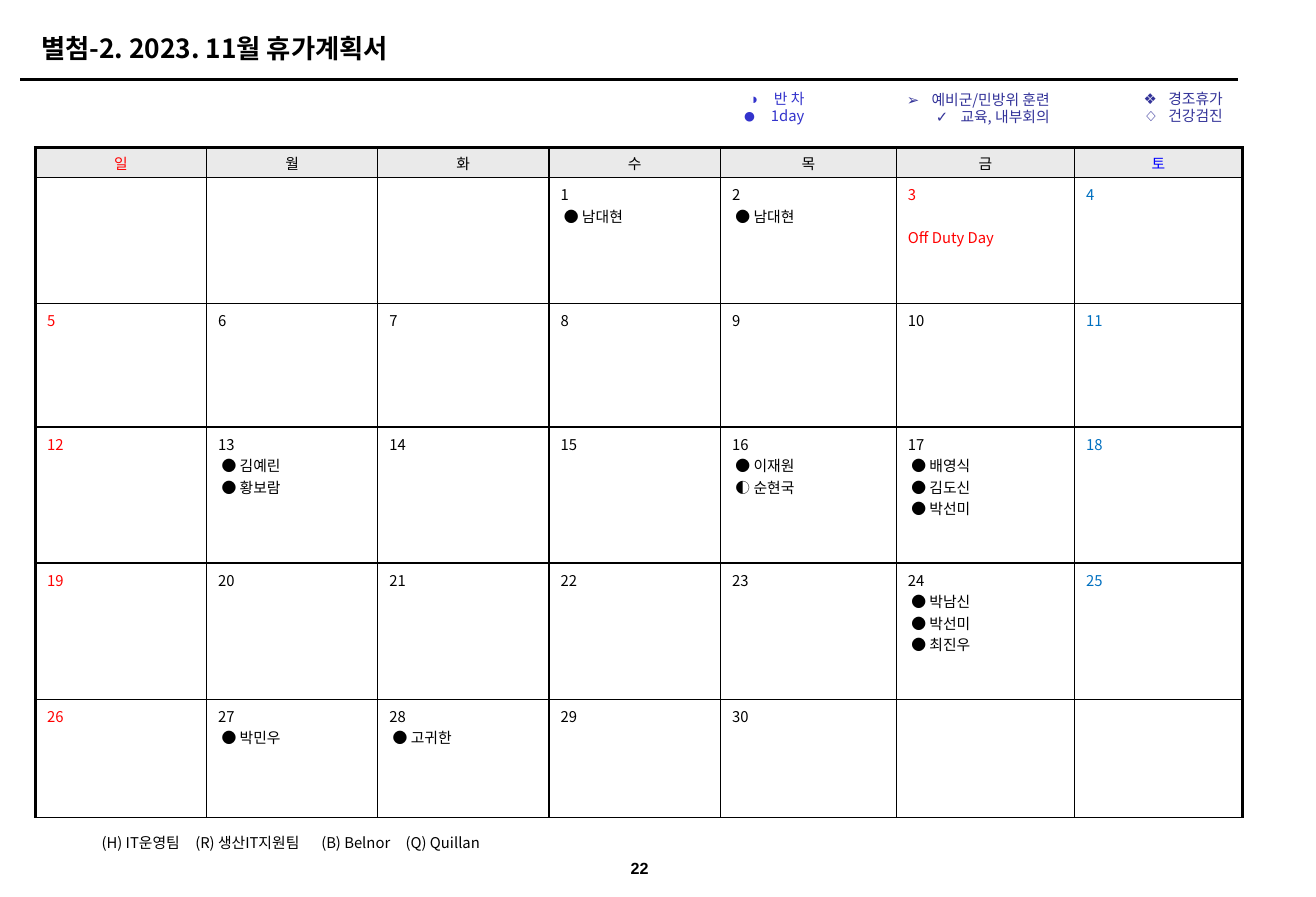
from dataclasses import dataclass

from lxml import etree
from pptx import Presentation
from pptx.dml.color import RGBColor
from pptx.enum.shapes import MSO_CONNECTOR
from pptx.enum.text import MSO_ANCHOR, PP_ALIGN
from pptx.oxml.ns import qn
from pptx.util import Cm, Pt

LEFT, CENTER, RIGHT = PP_ALIGN.LEFT, PP_ALIGN.CENTER, PP_ALIGN.RIGHT
TOP, MIDDLE = MSO_ANCHOR.TOP, MSO_ANCHOR.MIDDLE
STRAIGHT = MSO_CONNECTOR.STRAIGHT

# Content
TITLE = "별첨-2. 2023. 11월 휴가계획서"
PAGE_NUMBER = "22"
TEAMS = ["(H) IT운영팀", "(R) 생산IT지원팀", "(B) Belnor", "(Q) Quillan"]
TEAM_TABS = [2.01, 4.71, 6.52]
WEEKDAYS = ["일", "월", "화", "수", "목", "금", "토"]
FIRST_WEEKDAY, LAST_DAY = 3, 30
OFF_DAYS = {3: "Off Duty Day"}
LEAVE = {
    1: ["● 남대현"],
    2: ["● 남대현"],
    13: ["● 김예린", "● 황보람"],
    16: ["● 이재원", "◐ 순현국"],
    17: ["● 배영식", "● 김도신", "● 박선미"],
    24: ["● 박남신", "● 박선미", "● 최진우"],
    27: ["● 박민우"],
    28: ["● 고귀한"],
}
# Place (left, top, width, height), colour, wrap, items (bullet, bullet percent, text)
LEGENDS = [
    ((15.67, 1.83, 1.83, 1.02), "3333CC", False,
     [("◑", 100, "반 차"), ("●", 150, " 1day")]),
    ((18.82, 1.85, 4.01, 0.99), "333399", True,
     [("➢", 100, "예비군/민방위 훈련 "), ("✓", 100, "교육, 내부회의 ")]),
    ((21.82, 1.83, 4.65, 0.99), "333399", True,
     [("❖", 100, "경조휴가"), ("◇", 100, "건강검진")]),
]
COLUMN_WIDTHS = [3.67, 3.67, 3.67, 3.68, 3.77, 3.82, 3.6]
ROW_HEIGHTS = [0.64, 2.7, 2.64, 2.92, 2.92, 2.54]


@dataclass(frozen=True)
class Theme:
    font: str = "Noto Sans CJK KR"
    number_font: str = "Arial"
    bullet_font: str = "Arial"
    title_size: float = 16
    body_size: float = 9
    number_size: float = 9.8
    black: str = "000000"
    red: str = "FF0000"
    header_blue: str = "0000FF"
    saturday_blue: str = "0070C0"
    header_fill: str = "EAEAEA"


THEME = Theme()


def style(para, color=THEME.black, size=THEME.body_size, bold=False, font=THEME.font):
    for span in para.runs:
        span.font.size = Pt(size)
        span.font.bold = bold
        span.font.color.rgb = RGBColor.from_string(color)
        span.font.name = font
        etree.SubElement(span.font._element, qn("a:ea"), typeface=font)


def add_box(page, place, text, align=LEFT, anchor=TOP, wrap=True):
    box = page.shapes.add_textbox(*(Cm(value) for value in place))
    frame = box.text_frame
    frame.text = text
    frame.word_wrap = wrap
    frame.vertical_anchor = anchor
    for para in frame.paragraphs:
        para.alignment = align
    return frame.paragraphs


def add_bullet(para, mark, percent, color):
    properties = para._p.get_or_add_pPr()
    properties.set("marL", str(Cm(0.53)))
    properties.set("indent", str(-Cm(0.53)))
    bullet_color = etree.SubElement(properties, qn("a:buClr"))
    etree.SubElement(bullet_color, qn("a:srgbClr"), val=color)
    etree.SubElement(properties, qn("a:buSzPct"), val=str(percent * 1000))
    etree.SubElement(properties, qn("a:buFont"), typeface=THEME.bullet_font)
    etree.SubElement(properties, qn("a:buChar"), char=mark)


def add_borders(cell, widths):
    properties = cell._tc.get_or_add_tcPr()
    for side, width in zip("LRTB", widths):
        border = etree.SubElement(properties, qn(f"a:ln{side}"), w=str(Pt(width)))
        fill = etree.SubElement(border, qn("a:solidFill"))
        etree.SubElement(fill, qn("a:srgbClr"), val=THEME.black)


def fill_header(cell, weekday):
    cell.text = WEEKDAYS[weekday]
    cell.vertical_anchor = MIDDLE
    cell.margin_top = cell.margin_bottom = Cm(0.05)
    cell.fill.solid()
    cell.fill.fore_color.rgb = RGBColor.from_string(THEME.header_fill)
    para = cell.text_frame.paragraphs[0]
    para.alignment = CENTER
    style(para, {0: THEME.red, 6: THEME.header_blue}.get(weekday, THEME.black))


def fill_day(cell, week, weekday):
    cell.margin_top = cell.margin_bottom = Cm(0.13)
    cell.fill.background()
    day = 7 * week + weekday - FIRST_WEEKDAY + 1
    if not 1 <= day <= LAST_DAY:
        return
    color = {0: THEME.red, 6: THEME.saturday_blue}.get(weekday, THEME.black)
    lines = [str(day)] + [f" {entry}" for entry in LEAVE.get(day, [])]
    if day in OFF_DAYS:
        color = THEME.red
        lines.append(OFF_DAYS[day])
    cell.text = "\n".join(lines)
    for para in cell.text_frame.paragraphs:
        style(para, color)
    if day in OFF_DAYS:
        cell.text_frame.paragraphs[-1].space_before = Pt(13)


def add_calendar(page):
    rows, columns = len(ROW_HEIGHTS), len(COLUMN_WIDTHS)
    frame = page.shapes.add_table(rows, columns, Cm(0.76), Cm(3.17),
                                  Cm(sum(COLUMN_WIDTHS)), Cm(sum(ROW_HEIGHTS)))
    table = frame.table
    table.first_row = table.horz_banding = False
    for column, width in zip(table.columns, COLUMN_WIDTHS):
        column.width = Cm(width)
    for row, height in zip(table.rows, ROW_HEIGHTS):
        row.height = Cm(height)
    for row in range(rows):
        for column in range(columns):
            cell = table.cell(row, column)
            cell.margin_left = cell.margin_right = Cm(0.25)
            add_borders(cell, (2 if column == 0 else 1,
                               2 if column == columns - 1 else 1,
                               2 if row == 0 else 1, 1))
            if row == 0:
                fill_header(cell, column)
            else:
                fill_day(cell, row - 1, column)


def main():
    deck = Presentation()
    deck.slide_width, deck.slide_height = Cm(28.22), Cm(19.23)
    page = deck.slides.add_slide(deck.slide_layouts[6])

    # Title and rule
    rule = page.shapes.add_connector(STRAIGHT, Cm(0.43), Cm(1.7), Cm(26.54), Cm(1.7))
    rule.line.width = Pt(1.5)
    rule.line.color.rgb = RGBColor.from_string(THEME.black)
    etree.SubElement(rule._element.spPr, qn("a:effectLst"))
    title = add_box(page, (0.64, 0.56, 25.15, 0.94), TITLE, anchor=MIDDLE)
    style(title[0], size=THEME.title_size, bold=True)

    # Legends
    for place, color, wrap, items in LEGENDS:
        text = "\n".join(label for _, _, label in items)
        paras = add_box(page, place, text, RIGHT, wrap=wrap)
        for para, (mark, percent, _) in zip(paras, items):
            para.line_spacing = 0.95
            add_bullet(para, mark, percent, color)
            style(para, color)

    add_calendar(page)

    # Team key
    teams = add_box(page, (1.93, 17.78, 9.2, 0.61), "\t".join(TEAMS), anchor=MIDDLE)[0]
    teams.line_spacing = 0.95
    tabs = etree.SubElement(teams._p.get_or_add_pPr(), qn("a:tabLst"))
    for position in TEAM_TABS:
        etree.SubElement(tabs, qn("a:tab"), pos=str(Cm(position)), algn="l")
    style(teams)

    # Page number
    number = add_box(page, (13.03, 18.21, 1.37, 0.79), PAGE_NUMBER, CENTER, MIDDLE, False)
    style(number[0], size=THEME.number_size, bold=True, font=THEME.number_font)

    deck.save("out.pptx")


if __name__ == "__main__":
    main()
